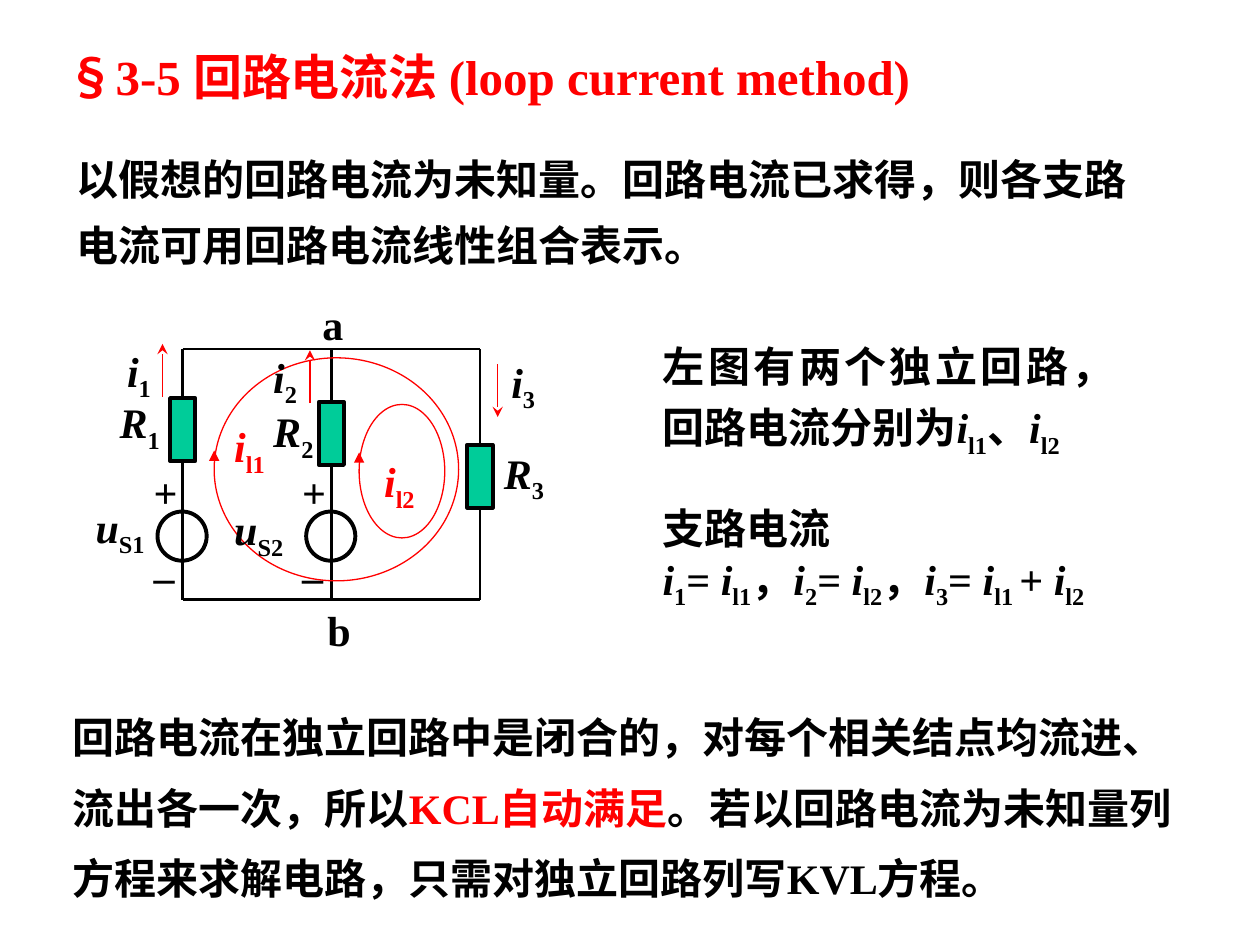
from lxml import etree
from pptx import Presentation
from pptx.dml.color import RGBColor
from pptx.enum.shapes import MSO_CONNECTOR as Connector, MSO_SHAPE as Shape
from pptx.enum.text import MSO_ANCHOR as Anchor, MSO_AUTO_SIZE as AutoSize, PP_ALIGN as Align
from pptx.oxml.ns import qn
from pptx.util import Inches, Pt

RED = RGBColor(0xFF, 0x00, 0x00)
BLACK = RGBColor(0x00, 0x00, 0x00)
GREEN = RGBColor(0x00, 0xCC, 0x99)
LATIN, HAN = "Times New Roman", "Noto Sans CJK SC"

BODY = {"name": LATIN, "size": Pt(24), "bold": True, "italic": False}
TITLE = BODY | {"size": Pt(28)}
ITALIC = BODY | {"italic": True}
SUBSCRIPT = -25000


def add_span(para, text, style=BODY, color=BLACK, baseline=0):
    span = para.add_run()
    span.text = text
    for key, value in style.items():
        setattr(span.font, key, value)
    span.font.color.rgb = color
    props = span.font._element
    etree.SubElement(props, qn("a:ea")).set("typeface", HAN)
    if baseline:
        props.set("baseline", str(baseline))


def add_symbol(para, letter, index, color=BLACK):
    add_span(para, letter, ITALIC, color)
    add_span(para, index, BODY, color, SUBSCRIPT)


def add_text(page, box, line_spacing=1.0, align=Align.LEFT, wrap=True):
    """Add an empty text box and return its first paragraph and its frame."""
    frame = page.shapes.add_textbox(*map(Inches, box)).text_frame
    frame.word_wrap = wrap
    frame.auto_size = AutoSize.SHAPE_TO_FIT_TEXT
    para = frame.paragraphs[0]
    para.line_spacing, para.alignment = line_spacing, align
    return para, frame


def add_line(page, start, end, color=BLACK, width=1.5, arrow=None):
    line = page.shapes.add_connector(Connector.STRAIGHT, *map(Inches, (*start, *end)))
    line.line.color.rgb, line.line.width = color, Pt(width)
    if arrow:
        etree.SubElement(line.line._get_or_add_ln(), qn("a:tailEnd")).set("type", arrow)
    etree.SubElement(line._element.spPr, qn("a:effectLst"))


def add_outline(page, kind, box, color=BLACK, width=2.25, fill=None):
    shape = page.shapes.add_shape(kind, *map(Inches, box))
    shape.shadow.inherit = False
    shape.line.color.rgb, shape.line.width = color, Pt(width)
    if fill is None:
        shape.fill.background()
    else:
        shape.fill.solid()
        shape.fill.fore_color.rgb = fill


def place_title(page, box):
    title = page.shapes.title
    title.left, title.top, title.width, title.height = map(Inches, box)
    frame = title.text_frame
    layout = {"vertical_anchor": Anchor.TOP, "word_wrap": True, "auto_size": AutoSize.NONE}
    for key, value in layout.items():
        setattr(frame, key, value)
    para = frame.paragraphs[0]
    para.alignment = Align.JUSTIFY
    add_span(para, "§", TITLE | {"name": HAN}, RED)
    add_span(para, "3-5 回路电流法 (loop current method)", TITLE, RED)


def place_intro(page, box):
    para, _ = add_text(page, box, 1.3)
    add_span(para, "以假想的回路电流为未知量。回路电流已求得，则各支路"
                   "电流可用回路电流线性组合表示。")


def place_circuit(page, box):
    left, top, width, height = box

    def at(x, y, *size):
        return (left + x, top + y, *size)

    # Wires: two rails and three branches at an equal pitch
    branches = [0.79 + 1.18 * number for number in range(3)]
    rails = (0.45, 2.44)
    for x in branches:
        add_line(page, at(x, rails[1]), at(x, rails[0]))
    for y in rails:
        add_line(page, at(branches[0], y), at(branches[-1], y))

    # Resistors
    for x, y in zip(branches, (0.84, 0.87, 1.21)):
        add_outline(page, Shape.RECTANGLE, at(x - 0.1, y, 0.2, 0.5), fill=GREEN)

    # Voltage sources with their signs
    for x in branches[:2]:
        add_outline(page, Shape.OVAL, at(x - 0.2, 1.74, 0.39, 0.39))
        for sign, y in (("+", 1.33), ("–", 2.0)):
            para, _ = add_text(page, at(x - 0.33, y, 0.39, 0.5))
            add_span(para, sign)

    # Branch current arrows: x, tail y, head y
    for x, begin, end in ((0.63, 0.83, 0.41), (1.8, 0.88, 0.46), (3.29, 0.57, 0.99)):
        add_line(page, at(x, begin), at(x, end), RED, 0.75, "stealth")

    # Loop currents: ellipse and direction mark on its left side
    for x, y, wide, high in ((1.04, 0.52, 1.94, 1.77), (2.19, 0.89, 0.68, 1.06)):
        add_outline(page, Shape.OVAL, at(x, y, wide, high), RED, 0.75)
        middle = y + high / 2
        add_line(page, at(x, middle - 0.08), at(x, middle - 0.15), RED, 0.75, "triangle")

    # Quantity labels
    labels = [
        ("i", "1", 0.25, 0.37, BLACK), ("i", "2", 1.41, 0.42, BLACK),
        ("i", "3", 3.3, 0.46, BLACK), ("R", "1", 0.19, 0.78, BLACK),
        ("R", "2", 1.41, 0.85, BLACK), ("R", "3", 3.24, 1.18, BLACK),
        ("u", "S1", 0, 1.61, BLACK), ("u", "S2", 1.1, 1.63, BLACK),
        ("i", "l1", 1.1, 0.97, RED), ("i", "l2", 2.29, 1.25, RED),
    ]
    for letter, index, x, y, color in labels:
        para, _ = add_text(page, at(x, y, 0.72, 0.56))
        add_symbol(para, letter, index, color)

    # Nodes at the top and bottom of the box
    for node, x, y in (("a", 1.8, 0), ("b", 1.84, height - 0.5)):
        para, _ = add_text(page, at(x, y, 0.37, 0.5), wrap=False)
        add_span(para, node)


def place_loops(page, box):
    para, _ = add_text(page, box, 1.2, Align.JUSTIFY)
    add_span(para, "左图有两个独立回路，回路电流分别为")
    add_symbol(para, "i", "l1")
    add_span(para, "、")
    add_symbol(para, "i", "l2")


def place_branch_currents(page, box):
    para, frame = add_text(page, box)
    add_span(para, "支路电流")
    para = frame.add_paragraph()
    for number in "12":
        add_symbol(para, "i", number)
        add_span(para, "= ")
        add_symbol(para, "i", "l" + number)
        add_span(para, "，")
    add_symbol(para, "i", "3")
    add_span(para, "= ")
    add_symbol(para, "i", "l1 ")
    add_span(para, "+ ")
    add_symbol(para, "i", "l2")


def place_conclusion(page, box):
    para, _ = add_text(page, box, 1.4)
    add_span(para, "回路电流在独立回路中是闭合的，对每个相关结点均流进、流出各一次，所以")
    add_span(para, "KCL自动满足", color=RED)
    add_span(para, "。若以回路电流为未知量列方程来求解电路，只需对独立回路列写KVL方程。")


def main():
    deck = Presentation()
    deck.slide_width, deck.slide_height = Inches(10), Inches(7.5)
    page = deck.slides.add_slide(deck.slide_layouts.get_by_name("Title Only"))
    place_title(page, (0.43, 0.32, 7.58, 0.57))
    place_intro(page, (0.51, 1.05, 8.82, 1.14))
    place_circuit(page, (0.66, 2.32, 3.95, 2.93))
    place_loops(page, (5.16, 2.57, 3.78, 1.13))
    place_branch_currents(page, (5.16, 3.94, 3.95, 0.96))
    place_conclusion(page, (0.48, 5.44, 9.08, 1.78))
    deck.save("out.pptx")


if __name__ == "__main__":
    main()
